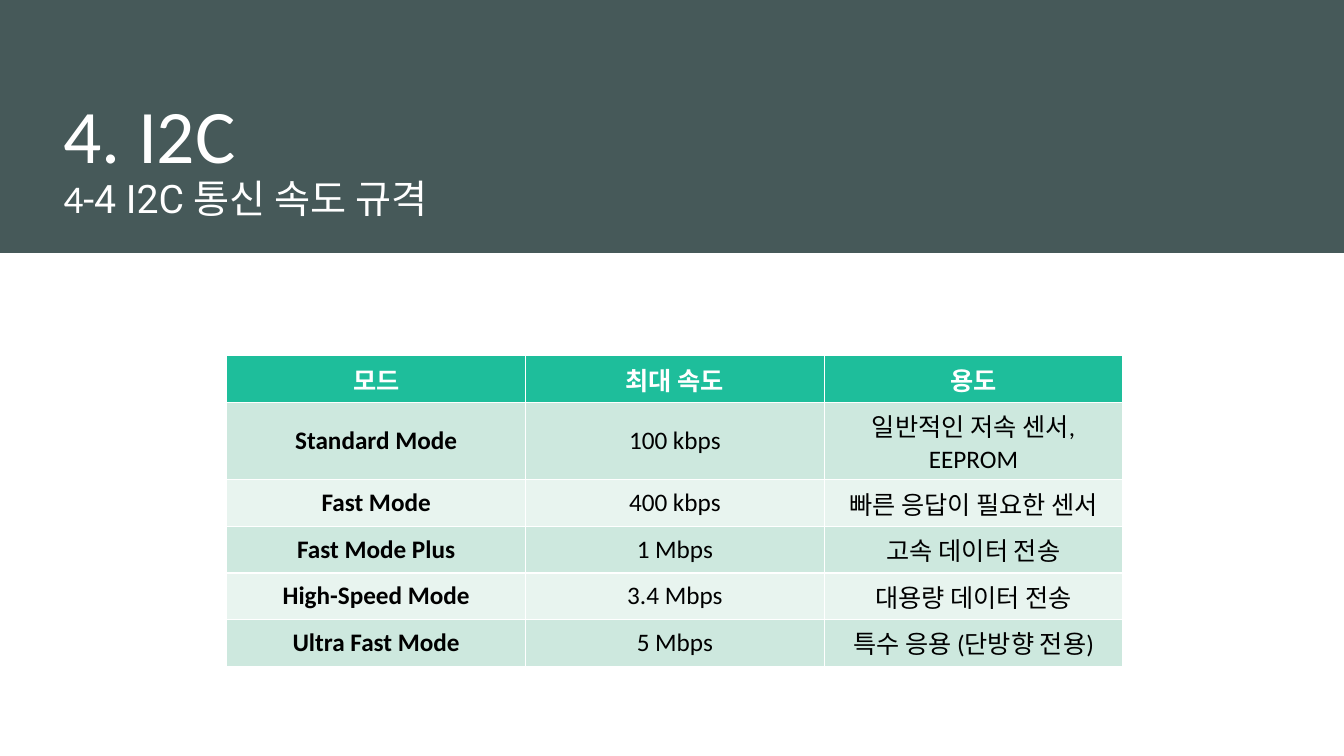
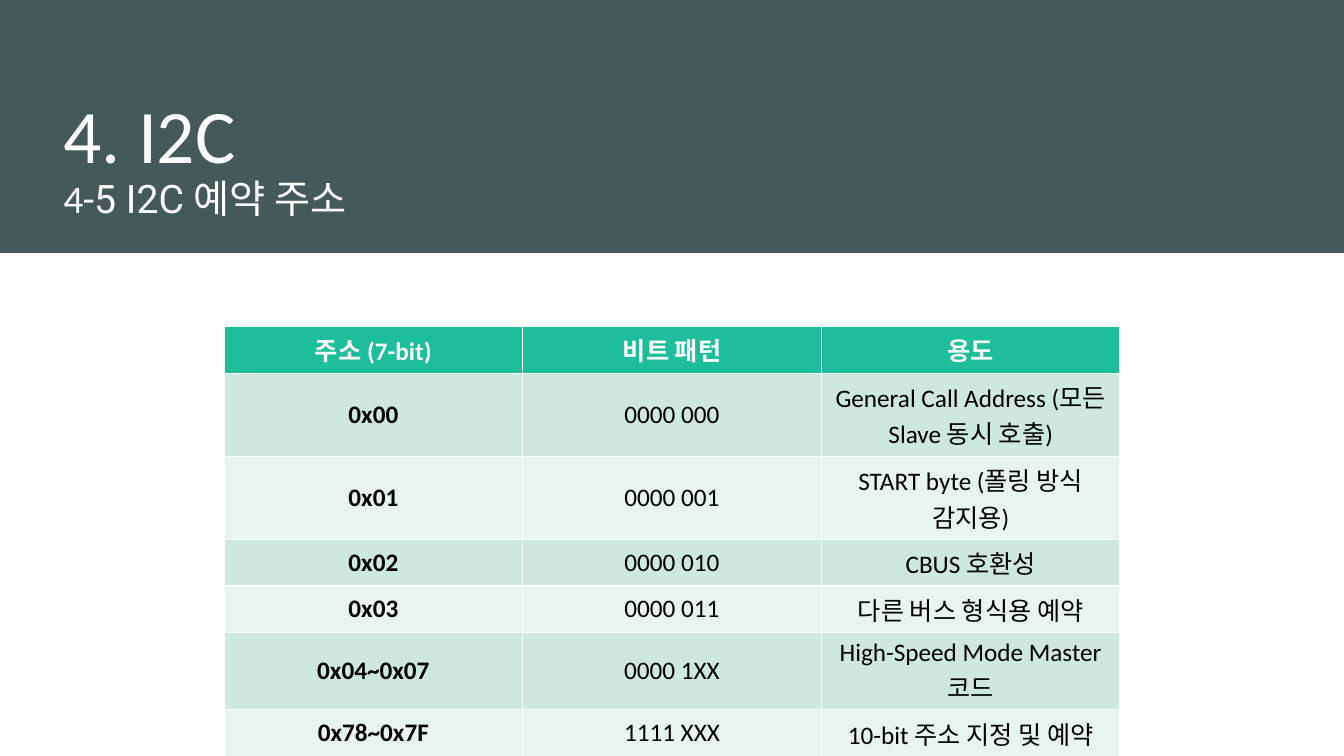
"""Build two slides on I2C speed modes and reserved addresses."""
from pptx import Presentation
from pptx.dml.color import RGBColor
from pptx.enum.shapes import MSO_SHAPE
from pptx.enum.text import MSO_ANCHOR, MSO_AUTO_SIZE, PP_ALIGN
from pptx.util import Inches, Pt

RECTANGLE = MSO_SHAPE.RECTANGLE
MIDDLE, BOTTOM = MSO_ANCHOR.MIDDLE, MSO_ANCHOR.BOTTOM
NO_AUTOFIT = MSO_AUTO_SIZE.NONE
LEFT, CENTER = PP_ALIGN.LEFT, PP_ALIGN.CENTER

SLATE = RGBColor(0x46, 0x59, 0x59)
GREEN = RGBColor(0x1E, 0xBE, 0x9B)
MINT = RGBColor(0xCD, 0xE8, 0xDE)
PALE_MINT = RGBColor(0xE8, 0xF4, 0xEF)
WHITE = RGBColor(0xFF, 0xFF, 0xFF)
BLACK = RGBColor(0x00, 0x00, 0x00)

WIDTH, HEIGHT = Inches(13.33), Inches(7.5)
COLUMN, ROW = WIDTH / 100, HEIGHT / 100
TABLE_WIDTH = int(WIDTH * 2 / 3)
ROW_HEIGHT = int(ROW * 5.41)

PAGES = [
    {
        "subtitle": ("4", "-4 I2C 통신 속도 규격"),
        "left": 16.88,
        "top": 47.07,
        "rows": [
            ("모드", "최대 속도", "용도"),
            ("Standard Mode", "100 kbps", "일반적인 저속 센서, EEPROM"),
            ("Fast Mode", "400 kbps", "빠른 응답이 필요한 센서"),
            ("Fast Mode Plus", "1 Mbps", "고속 데이터 전송"),
            ("High-Speed Mode", "3.4 Mbps", "대용량 데이터 전송"),
            ("Ultra Fast Mode", "5 Mbps", "특수 응용 (단방향 전용)"),
        ],
    },
    {
        "subtitle": ("4", "-5 I2C 예약 주소"),
        "left": 16.67,
        "top": 43.2,
        "rows": [
            ("주소 (7-bit)", "비트 패턴", "용도"),
            ("0x00", "0000 000", "General Call Address (모든 Slave 동시 호출)"),
            ("0x01", "0000 001", "START byte (폴링 방식 감지용)"),
            ("0x02", "0000 010", "CBUS 호환성"),
            ("0x03", "0000 011", "다른 버스 형식용 예약"),
            ("0x04~0x07", "0000 1XX", "High-Speed Mode Master 코드"),
            ("0x78~0x7F", "1111 XXX", "10-bit 주소 지정 및 예약"),
        ],
    },
]


def write(para, text, size=18, font="Calibri", color=WHITE, bold=False):
    """Add a formatted span to a paragraph."""
    span = para.add_run()
    span.text = text
    span.font.size = Pt(size)
    span.font.name = font
    span.font.color.rgb = color
    span.font.bold = bold


deck = Presentation()
deck.slide_width, deck.slide_height = WIDTH, HEIGHT
layout = deck.slide_layouts[5]

layout_title = layout.placeholders[0]
layout_title.left, layout_title.top = int(COLUMN * 3.98), int(ROW * 5.33)
layout_title.width, layout_title.height = int(COLUMN * 89.2), int(ROW * 24.67)

for content in PAGES:
    page = deck.slides.add_slide(layout)

    band = page.shapes.add_shape(RECTANGLE, 0, 0, WIDTH, int(ROW * 33.47))
    band.shadow.inherit = False
    band.fill.solid()
    band.fill.fore_color.rgb = SLATE
    band.line.fill.background()
    page.shapes.element.insert(2, band.element)

    frame = page.shapes.title.text_frame
    frame.vertical_anchor = BOTTOM
    frame.auto_size = NO_AUTOFIT
    heading = frame.paragraphs[0]
    heading.alignment = LEFT
    heading.line_spacing = 0.9
    write(heading, "4. I2C", size=54)
    heading.add_line_break()
    number, topic = content["subtitle"]
    write(heading, number, size=28)
    write(heading, topic, size=28, font="Roboto")

    rows = content["rows"]
    table = page.shapes.add_table(
        len(rows), len(rows[0]),
        int(COLUMN * content["left"]), int(ROW * content["top"]),
        TABLE_WIDTH, ROW_HEIGHT * len(rows),
    ).table
    for row_index, texts in enumerate(rows):
        is_header = row_index == 0
        stripe = MINT if row_index % 2 else PALE_MINT
        for column_index, text in enumerate(texts):
            cell = table.cell(row_index, column_index)
            cell.fill.solid()
            cell.fill.fore_color.rgb = GREEN if is_header else stripe
            cell.vertical_anchor = MIDDLE
            para = cell.text_frame.paragraphs[0]
            para.alignment = CENTER
            write(para, text, color=WHITE if is_header else BLACK,
                  bold=is_header or column_index == 0)

deck.save("out.pptx")
